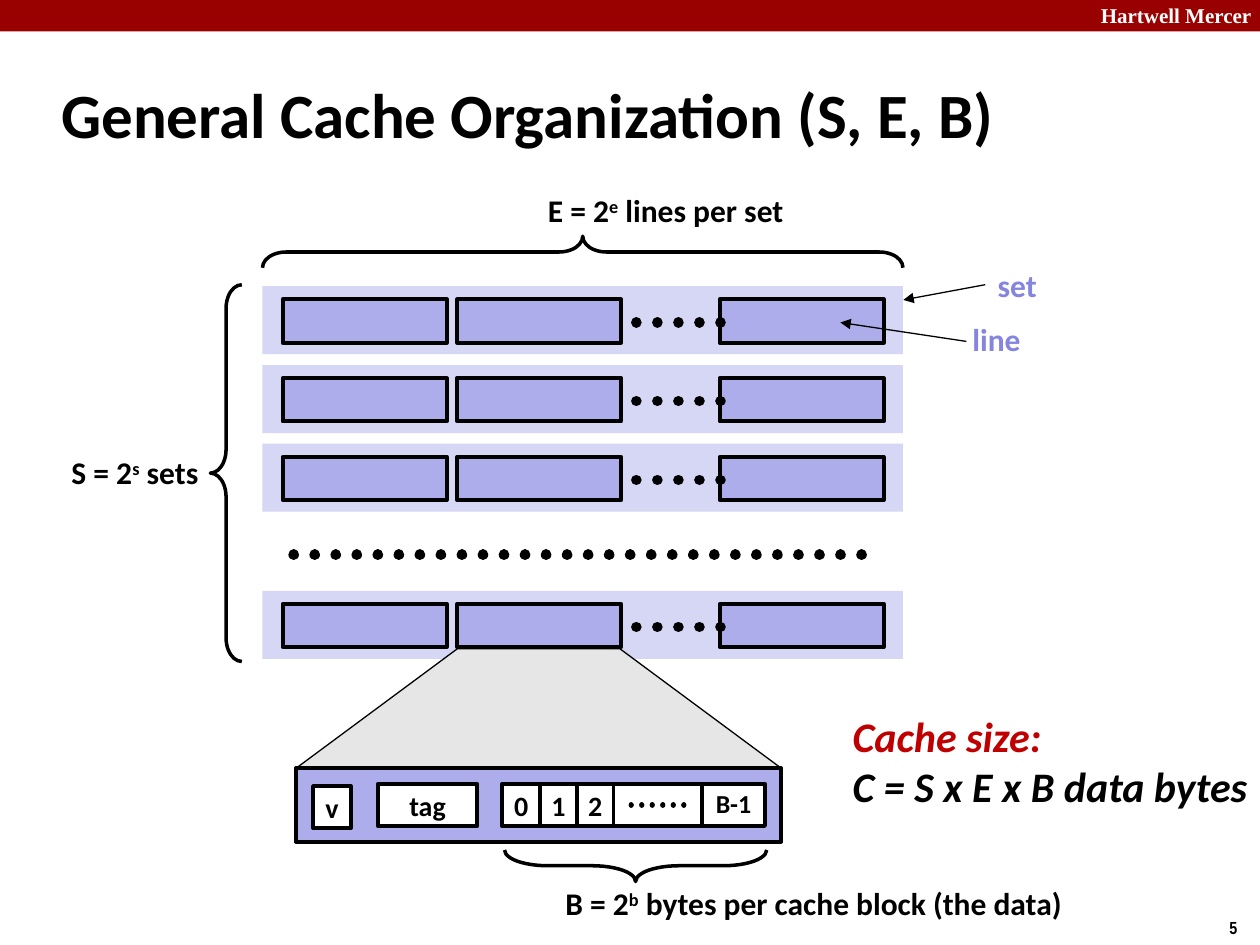
from lxml.etree import SubElement
from pptx import Presentation
from pptx.dml.color import RGBColor
from pptx.enum.dml import MSO_LINE
from pptx.enum.shapes import MSO_CONNECTOR, MSO_SHAPE as SHAPE
from pptx.enum.text import MSO_ANCHOR, PP_ALIGN
from pptx.oxml.ns import qn
from pptx.util import Pt

COLORS = dict(black="000000", white="FFFFFF", banner="990000", set="D6D6F5",
              line="ADADEB", label="8585E0", zoom="E6E6E6", accent="C00000")

HEADER = [
    ("Hartwell Mercer", 622, -2, 103, 21.6, 12, "Times New Roman", "white"),
    ("5", 695.5, 520.5, 24.5, 19.5, 10, "Arial Narrow", "black"),
]
LABELS = [
    (("E = 2", "e", " lines per set"), 306, 105.8, 154, "black"),
    (("S = 2", "s", " sets"), 33.8, 255.6, 88.6, "black"),
    (("B = 2", "b", " bytes per cache block (the data)"), 316, 501.8, 309, "black"),
    (("set",), 563, 148.3, 36.7, "label"),
    (("line",), 548.6, 179.3, 42.5, "label"),
]
CACHE_SIZE = [("Cache size:", "accent"), ("C = S x E x B data bytes", "black")]

SET_X, SET_W, SET_H = 150, 366, 38.9
SET_TOP, SET_STEP, LAST_SET_TOP = 163.6, 45, 337.6
SET_TOPS = [SET_TOP + i * SET_STEP for i in range(3)] + [LAST_SET_TOP]
LINE_XS, LINE_W, LINE_H, LINE_DY = (161.5, 261.2, 411.2), 93.8, 24.7, 7.5

BLOCK_X, BLOCK_Y, BLOCK_W, BLOCK_H = 169.2, 439, 277.2, 42
CELL_Y, CELL_H, BYTE_X = 448, 24, 287
BYTES = [("0", 21.6, 16), ("1", 21, 16), ("2", 21, 16), ("", 50.6, 16), ("B-1", 36, 14.8)]
FIELDS = [("tag", 215.9, CELL_Y, 56.9), ("v", 178.9, 449.2, 21.6)]

BRACES = [
    (324, -39, 18, 366, 90, 0.75),
    (120.2, 162.7, 18, 215.3, 0, 0.75),
    (354.2, 419.8, 18, 149.8, 270, 1.37),
]
ARROWS = [(516.2, 171.4, 563, 162.7), (480.2, 184.3, 552.2, 195.1)]


def color(name):
    return RGBColor.from_string(COLORS[name])


def style(p, size, tint="black", font="Calibri", italic=None):
    p.font.size, p.font.name, p.font.bold = Pt(size), font, True
    p.font.italic = italic
    p.font.color.rgb = color(tint)


def box(shapes, kind, x, y, w, h, fill=None, line=None):
    sp = shapes.add_shape(kind, Pt(x), Pt(y), Pt(w), Pt(h))
    sp.shadow.inherit = False
    if fill:
        sp.fill.solid()
        sp.fill.fore_color.rgb = color(fill)
    else:
        sp.fill.background()
    if line:
        sp.line.color.rgb = color("black")
        sp.line.width = Pt(line)
    else:
        sp.line.fill.background()
    return sp


def cell(text, x, y, w, size=16):
    sp = box(s.shapes, SHAPE.RECTANGLE, x, y, w, CELL_H, "white", 2.25)
    if text:
        tf = sp.text_frame
        tf.word_wrap = False
        tf.vertical_anchor = MSO_ANCHOR.MIDDLE
        p = tf.paragraphs[0]
        p.text = text
        p.alignment = PP_ALIGN.CENTER
        style(p, size)
        if size < 16:
            p.line_spacing = 0.9


def connector(shapes, x1, y1, x2, y2, width):
    c = shapes.add_connector(MSO_CONNECTOR.STRAIGHT, Pt(x1), Pt(y1), Pt(x2), Pt(y2))
    c.line.color.rgb = color("black")
    c.line.width = Pt(width)
    SubElement(c._element.spPr, qn("a:effectLst"))
    return c


def dots(shapes, x1, x2, y, width):
    c = connector(shapes, x1, y, x2, y, width)
    c.line.dash_style = MSO_LINE.ROUND_DOT
    c.line._get_or_add_ln().set("cap", "rnd")


def text_box(x, y, w, h):
    tf = s.shapes.add_textbox(Pt(x), Pt(y), Pt(w), Pt(h)).text_frame
    tf.word_wrap = False
    return tf


prs = Presentation()
prs.slide_width, prs.slide_height = Pt(720), Pt(540)
s = prs.slides.add_slide(prs.slide_layouts[6])

box(s.shapes, SHAPE.RECTANGLE, 0, 0, 720, 18, "banner")
for text, x, y, w, h, size, font, tint in HEADER:
    p = text_box(x, y, w, h).paragraphs[0]
    p.text = text
    style(p, size, tint, font)

tf = text_box(28, 34.6, 597.6, 59.8)
tf.vertical_anchor = MSO_ANCHOR.MIDDLE
p = tf.paragraphs[0]
p.text = "General Cache Organization (S, E, B)"
style(p, 36)

for top in SET_TOPS:
    group = s.shapes.add_group_shape().shapes
    box(group, SHAPE.RECTANGLE, SET_X, top, SET_W, SET_H, "set")
    for x in LINE_XS:
        box(group, SHAPE.RECTANGLE, x, top + LINE_DY, LINE_W, LINE_H, "line", 2.25)
    dots(group, 363.6, 411.8, top + 20.6, 6)
dots(s.shapes, 167.8, 504, 317, 6)

zoom = box(s.shapes, SHAPE.TRAPEZOID, BLOCK_X, 370.8, BLOCK_W, 68.2, "zoom", 0.75)
zoom.adjustments[0] = 1.35
box(s.shapes, SHAPE.RECTANGLE, BLOCK_X, BLOCK_Y, BLOCK_W, BLOCK_H, "line", 2.25)
x = BYTE_X
for text, w, size in BYTES:
    cell(text, x, CELL_Y, w, size)
    x += w
dots(s.shapes, 360.7, 396.7, 460, 3)
for field in FIELDS:
    cell(*field)

for x, y, w, h, angle, bend in BRACES:
    brace = box(s.shapes, SHAPE.LEFT_BRACE, x, y, w, h, line=2)
    brace.rotation = angle
    brace.adjustments[0] = bend

for ends in ARROWS:
    c = connector(s.shapes, *ends, 0.75)
    SubElement(c.line._get_or_add_ln(), qn("a:headEnd"), type="triangle")

for parts, x, y, w, tint in LABELS:
    p = text_box(x, y, w, 28.8).paragraphs[0]
    style(p, 18, tint)
    for i, part in enumerate(parts):
        r = p.add_run()
        r.text = part
        if i == 1:
            r.font._element.set("baseline", "30000")

tf = text_box(480.2, 402.5, 248.4, 65.5)
for i, (text, tint) in enumerate(CACHE_SIZE):
    p = tf.add_paragraph() if i else tf.paragraphs[0]
    p.text = text
    style(p, 24, tint, italic=True)

prs.save("out.pptx")
